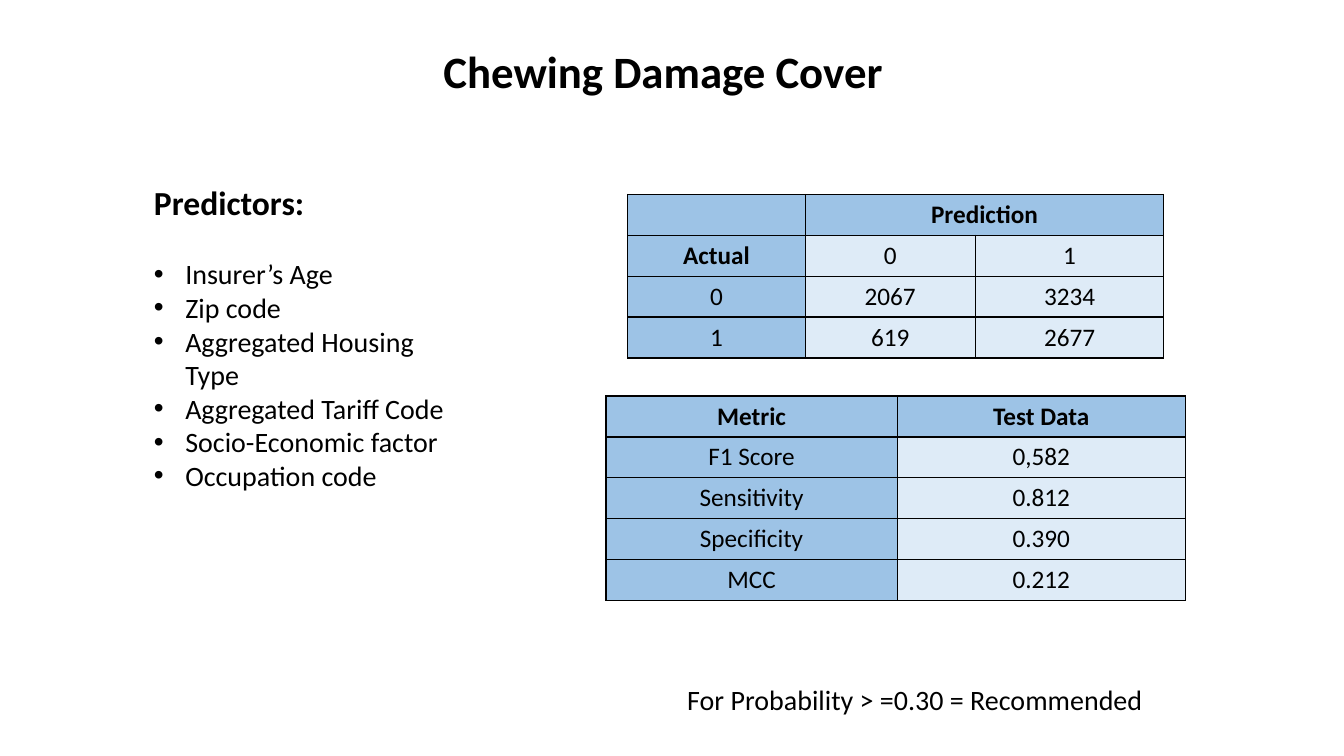
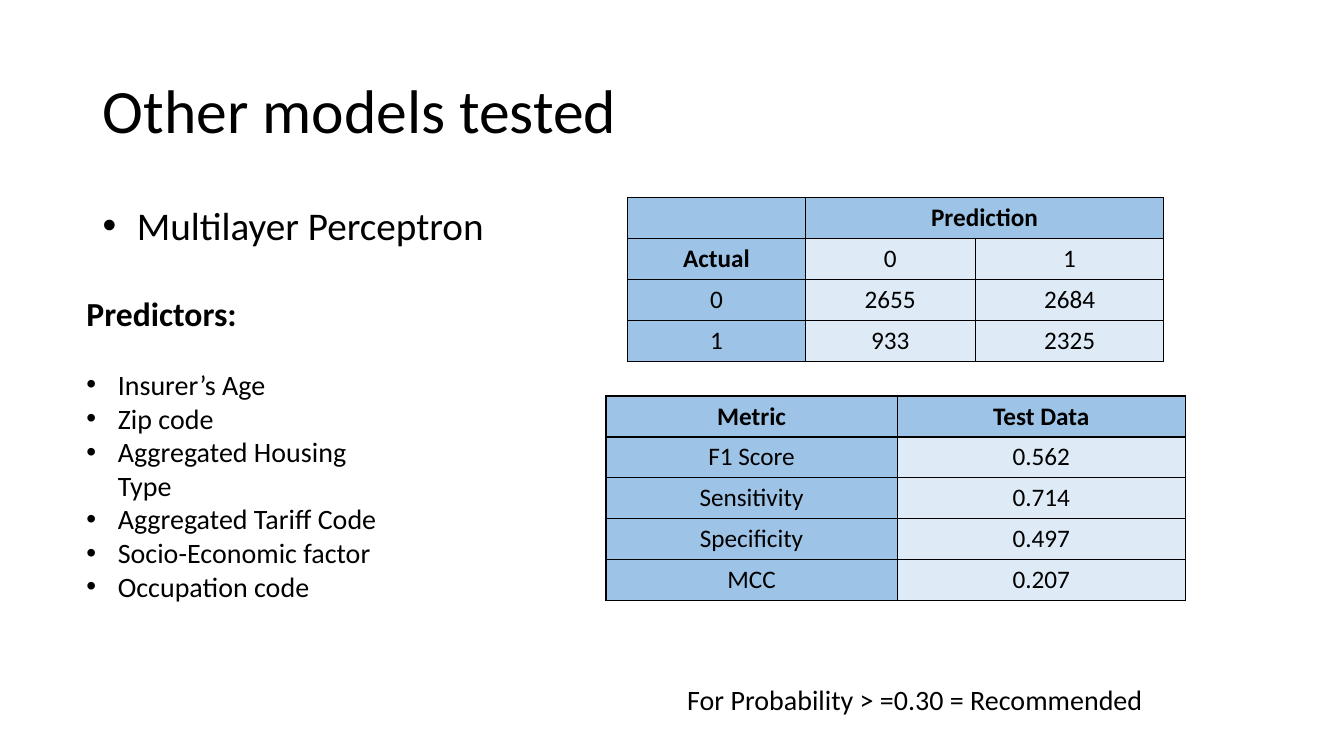
from lxml import etree
from pptx import Presentation
from pptx.dml.color import RGBColor
from pptx.enum.text import MSO_ANCHOR, MSO_AUTO_SIZE, PP_ALIGN
from pptx.oxml.ns import qn
from pptx.util import Cm, Pt

LEFT, CENTER = PP_ALIGN.LEFT, PP_ALIGN.CENTER
MIDDLE = MSO_ANCHOR.MIDDLE
NO_AUTOFIT = MSO_AUTO_SIZE.NONE

BLACK = RGBColor(0x00, 0x00, 0x00)
HEADER_BLUE = RGBColor(0x9D, 0xC3, 0xE6)
VALUE_BLUE = RGBColor(0xDE, 0xEB, 0xF7)
FONT = "Calibri"
TITLE_ONLY = 5

PREDICTORS = ["Insurer’s Age", "Zip code", "Aggregated Housing Type",
              "Aggregated Tariff Code", "Socio-Economic factor", "Occupation code"]
METRICS = ["F1 Score", "Sensitivity", "Specificity", "MCC"]


def write(paragraph, text, size=20, bold=False, align=LEFT, indent=None,
          line_spacing=None, after=0):
    """Put formatted text in a paragraph, bulleted when an indent is given."""
    paragraph.alignment = align
    paragraph.line_spacing = line_spacing
    paragraph.space_after = Pt(after)
    run = paragraph.add_run()
    run.text = text
    run.font.name = FONT
    run.font.size = Pt(size)
    run.font.bold = bold
    run.font.color.rgb = BLACK
    if indent is not None:
        properties = paragraph._p.get_or_add_pPr()
        properties.set("marL", str(indent))
        properties.set("indent", str(-indent))
        etree.SubElement(properties, qn("a:buFont")).set("typeface", "Arial")
        etree.SubElement(properties, qn("a:buChar")).set("char", "•")


def add_frame(slide, left, top, width, height):
    """Add a wrapping text box and return its text frame."""
    frame = slide.shapes.add_textbox(left, top, width, height).text_frame
    frame.word_wrap = True
    return frame


def add_titled_slide(deck, text, left, top, width, height, **style):
    """Add a title-only slide with its title set in the given box."""
    slide = deck.slides.add_slide(deck.slide_layouts[TITLE_ONLY])
    title = slide.shapes.title
    title.left, title.top, title.width, title.height = left, top, width, height
    title.text_frame.auto_size = NO_AUTOFIT
    title.text_frame.vertical_anchor = MIDDLE
    write(title.text_frame.paragraphs[0], text, line_spacing=0.9, **style)
    return slide


def add_predictors(slide, left, top):
    """List the predictors under their heading."""
    frame = add_frame(slide, left, top, Cm(7.95), Cm(8.71))
    write(frame.paragraphs[0], "Predictors:", size=24, bold=True, after=24.4)
    for predictor in PREDICTORS:
        write(frame.add_paragraph(), predictor, indent=Cm(0.79))


def add_borders(cell):
    """Draw a thin black line on every side of a cell."""
    properties = cell._tc.get_or_add_tcPr()
    for side in ("lnL", "lnR", "lnT", "lnB"):
        line = etree.SubElement(properties, qn(f"a:{side}"), w=str(Pt(1)))
        fill = etree.SubElement(line, qn("a:solidFill"))
        etree.SubElement(fill, qn("a:srgbClr"), val=str(BLACK))


def add_grid(slide, rows, left, top, widths):
    """Add a table whose first row and column are headers."""
    row_height = Cm(1.03)
    table = slide.shapes.add_table(len(rows), len(widths), left, top,
                                   sum(widths), row_height * len(rows)).table
    for column, width in zip(table.columns, widths):
        column.width = width
    for r, values in enumerate(rows):
        table.rows[r].height = row_height
        for c, value in enumerate(values):
            cell = table.cell(r, c)
            add_borders(cell)
            cell.fill.solid()
            cell.fill.fore_color.rgb = HEADER_BLUE if r == 0 or c == 0 else VALUE_BLUE
            if value:
                write(cell.text_frame.paragraphs[0], value, size=18,
                      bold=r == 0 or value == "Actual", align=CENTER)
    return table


def add_results(slide, top, counts, scores):
    """Show the confusion matrix, the metrics and the decision threshold."""
    matrix = [["", "Prediction", ""], ["Actual", "0", "1"]]
    matrix += [[str(actual), *map(str, row)] for actual, row in enumerate(counts)]
    confusion = add_grid(slide, matrix, Cm(15.82), top, [Cm(4.47), Cm(4.29), Cm(4.75)])
    confusion.cell(0, 1).merge(confusion.cell(0, 2))
    add_grid(slide, [("Metric", "Test Data"), *zip(METRICS, scores)],
             Cm(15.27), Cm(9.98), [Cm(7.34), Cm(7.26)])
    threshold = add_frame(slide, Cm(17.07), Cm(17.07), Cm(12.24), Cm(1.12))
    write(threshold.paragraphs[0], "For Probability > =0.30 = Recommended")


def build_cover_slide(deck):
    """Build the slide on the chewing damage model."""
    slide = add_titled_slide(deck, "Chewing Damage Cover", Cm(2.11), Cm(0.86),
                             Cm(29.21), Cm(2.03), size=32, bold=True, align=CENTER)
    add_predictors(slide, Cm(3.63), Cm(4.47))
    add_results(slide, Cm(4.9), [(2067, 3234), (619, 2677)],
                ["0,582", "0.812", "0.390", "0.212"])


def build_other_models_slide(deck):
    """Build the slide on the multilayer perceptron."""
    slide = add_titled_slide(deck, "Other models tested", Cm(2.34), Cm(1.02),
                             Cm(29.21), Cm(3.68), size=44)
    model = add_frame(slide, Cm(2.34), Cm(5.08), Cm(12), Cm(1.4))
    write(model.paragraphs[0], "Multilayer Perceptron", size=28, indent=Cm(0.86),
          line_spacing=0.9)
    add_predictors(slide, Cm(1.93), Cm(7.26))
    add_results(slide, Cm(4.98), [(2655, 2684), (933, 2325)],
                ["0.562", "0.714", "0.497", "0.207"])


def main():
    """Build and save the deck."""
    deck = Presentation()
    deck.slide_width, deck.slide_height = Cm(33.87), Cm(19.05)
    build_cover_slide(deck)
    build_other_models_slide(deck)
    deck.save("out.pptx")


if __name__ == "__main__":
    main()
